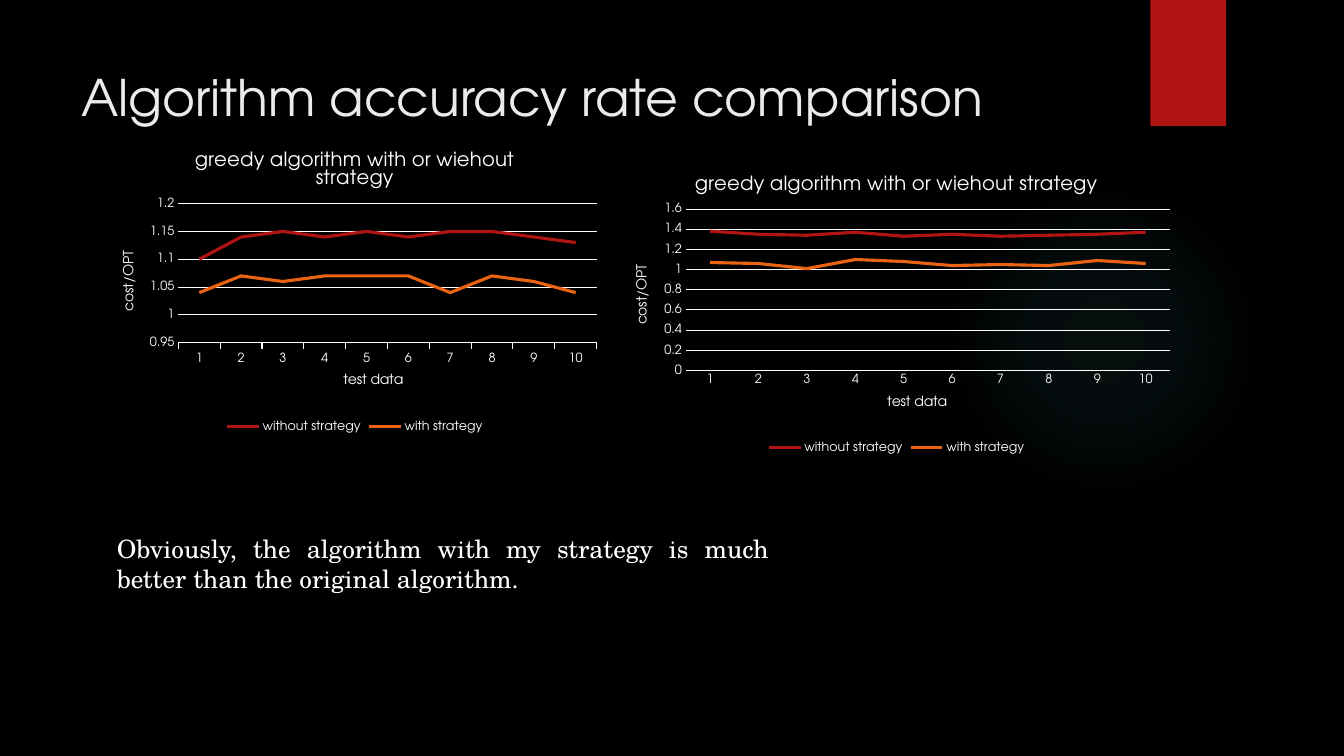
"""Build the slide that compares algorithm accuracy with two line charts."""
from lxml import etree
from pptx import Presentation
from pptx.chart.data import CategoryChartData
from pptx.dml.color import RGBColor
from pptx.enum import chart as ch, shapes, text
from pptx.oxml import ns, parse_xml
from pptx.util import Pt

BLACK = RGBColor(0x00, 0x00, 0x00)
WHITE = RGBColor(0xFF, 0xFF, 0xFF)
PALE = RGBColor(0xEB, 0xEB, 0xEB)
RED = RGBColor(0xB0, 0x15, 0x13)
ORANGE = RGBColor(0xEA, 0x63, 0x12)
TEAL = RGBColor(0x50, 0xB9, 0xC1)
SANS = "TeX Gyre Adventor"
SERIF = "TeX Gyre Schola"


class AccuracySlide:
    def __init__(self, deck):
        self.slide = deck.slides.add_slide(deck.slide_layouts[6])
        self.slide.background.fill.solid()
        self.slide.background.fill.fore_color.rgb = BLACK

    def style(self, font, size, color=WHITE, name=SANS):
        font.name, font.size, font.bold = name, Pt(size), False
        font.color.rgb = color

    def shape(self, kind, box):
        part = self.slide.shapes.add_shape(kind, *map(Pt, box))
        part.shadow.inherit = False
        part.line.fill.background()
        return part

    def ribbon(self, box):
        ribbon = self.shape(shapes.MSO_SHAPE.RECTANGLE, box)
        ribbon.fill.solid()
        ribbon.fill.fore_color.rgb = RED

    def glow(self, box, stops):
        glow = self.shape(shapes.MSO_SHAPE.OVAL, box)
        marks = "".join(
            f'<a:gs pos="{pos * 1000}"><a:srgbClr val="{TEAL}">'
            f'<a:alpha val="{alpha * 1000}"/></a:srgbClr></a:gs>'
            for pos, alpha in stops)
        gradient = parse_xml(
            f'<a:gradFill {ns.nsdecls("a")}><a:gsLst>{marks}</a:gsLst>'
            '<a:path path="circle"><a:fillToRect l="50000" t="50000" '
            'r="50000" b="50000"/></a:path></a:gradFill>')
        glow.element.spPr.insert(2, gradient)

    def words(self, wording, box, size, color, name, align, anchor):
        frame = self.slide.shapes.add_textbox(*map(Pt, box)).text_frame
        frame.word_wrap = True
        frame.vertical_anchor = anchor
        paragraph = frame.paragraphs[0]
        paragraph.text = wording
        paragraph.alignment = align
        self.style(paragraph.font, size, color, name)

    def heading(self, owner, wording, size):
        paragraph = owner.text_frame.paragraphs[0]
        paragraph.text = wording
        self.style(paragraph.font, size)

    def axis(self, axis, wording, tick):
        self.heading(axis.axis_title, wording, 10)
        self.style(axis.tick_labels.font, 9)
        axis.major_tick_mark = tick
        axis.minor_tick_mark = ch.XL_TICK_MARK.NONE

    def plot_area(self, chart, fractions):
        area = chart.element.find(".//" + ns.qn("c:plotArea"))
        for old in area.findall(ns.qn("c:layout")):
            area.remove(old)
        layout = etree.Element(ns.qn("c:layout"))
        manual = etree.SubElement(layout, ns.qn("c:manualLayout"))
        settings = [("layoutTarget", "inner"), ("xMode", "edge"), ("yMode", "edge")]
        for tag, value in settings + list(zip("xywh", fractions)):
            etree.SubElement(manual, ns.qn("c:" + tag)).set("val", str(value))
        area.insert(0, layout)

    def line_chart(self, box, plot, scale, tick, without, with_strategy):
        data = CategoryChartData()
        data.categories = [str(number) for number in range(1, 11)]
        data.add_series("without strategy", without)
        data.add_series("with strategy", with_strategy)
        chart = self.slide.shapes.add_chart(
            ch.XL_CHART_TYPE.LINE, *map(Pt, box), data).chart
        self.style(chart.font, 10)
        self.heading(chart.chart_title, "greedy algorithm with or wiehout strategy", 14)
        chart.chart_title.include_in_layout = False
        chart.has_legend = True
        chart.legend.position = ch.XL_LEGEND_POSITION.BOTTOM
        chart.legend.include_in_layout = False
        self.style(chart.legend.font, 9)

        tests, cost = chart.category_axis, chart.value_axis
        self.axis(tests, "test data", tick)
        self.axis(cost, "cost/OPT", ch.XL_TICK_MARK.NONE)
        cost.minimum_scale, cost.maximum_scale, cost.major_unit = scale
        cost.tick_labels.number_format = "General"
        cost.tick_labels.number_format_is_linked = False
        cost.format.line.fill.background()
        for line in (tests.format.line, cost.major_gridlines.format.line):
            line.color.rgb, line.width = WHITE, Pt(0.75)

        chart.plots[0].vary_by_categories = False
        for series, color in zip(chart.plots[0].series, (RED, ORANGE)):
            series.smooth = False
            series.marker.style = ch.XL_MARKER_STYLE.NONE
            series.format.line.color.rgb = color
            series.format.line.width = Pt(2.25)
        self.plot_area(chart, plot)


def main():
    deck = Presentation()
    deck.slide_width, deck.slide_height = Pt(960), Pt(540)
    page = AccuracySlide(deck)
    page.glow((677.5, 131.8, 221.8, 221.8), [(0, 7), (36, 6), (69, 0)])
    page.ribbon((821.8, 0, 54, 90))
    page.words("Algorithm accuracy rate comparison", (51, 36, 741, 65), 36, PALE,
               SANS, text.PP_ALIGN.LEFT, text.MSO_ANCHOR.MIDDLE)
    page.line_chart(
        (73.4, 95.8, 360, 216), (0.15, 0.23, 0.83, 0.46), (0.95, 1.2, 0.05),
        ch.XL_TICK_MARK.OUTSIDE,
        (1.1, 1.14, 1.15, 1.14, 1.15, 1.14, 1.15, 1.15, 1.14, 1.13),
        (1.04, 1.07, 1.06, 1.07, 1.07, 1.07, 1.04, 1.07, 1.06, 1.04))
    page.line_chart(
        (437, 113, 406.8, 213.8), (0.13, 0.17, 0.85, 0.54), (0, 1.6, 0.2),
        ch.XL_TICK_MARK.NONE,
        (1.38, 1.35, 1.34, 1.37, 1.33, 1.35, 1.33, 1.34, 1.35, 1.37),
        (1.07, 1.06, 1.01, 1.1, 1.08, 1.04, 1.05, 1.04, 1.09, 1.06))
    page.words("Obviously, the algorithm with my strategy is much better than "
               "the original algorithm.", (76.3, 377.3, 480, 51), 18, WHITE,
               SERIF, text.PP_ALIGN.JUSTIFY, text.MSO_ANCHOR.TOP)
    deck.save("out.pptx")


if __name__ == "__main__":
    main()
